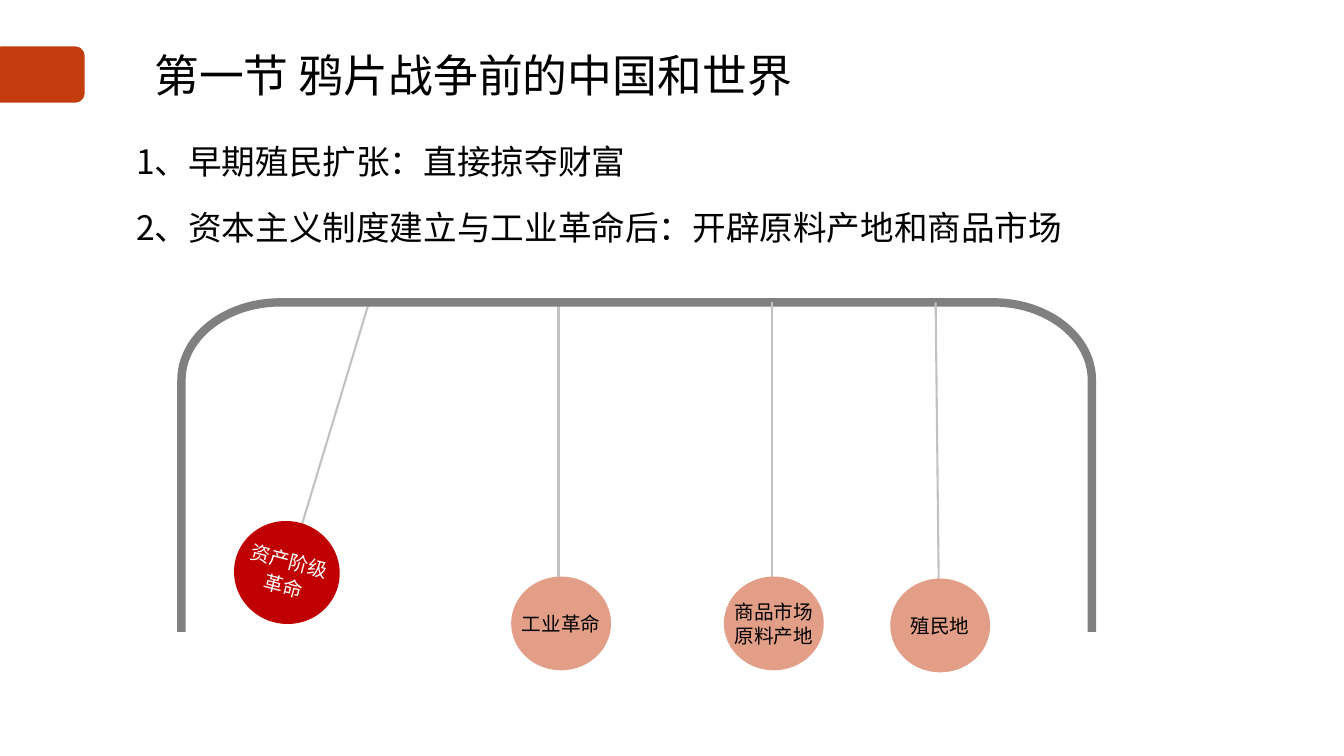
from math import cos, pi, sin

from lxml.etree import SubElement
from pptx import Presentation
from pptx.dml.color import RGBColor
from pptx.enum.shapes import MSO_CONNECTOR as Connector, MSO_SHAPE as Shape
from pptx.enum.text import MSO_ANCHOR as Anchor, MSO_AUTO_SIZE as AutoSize, PP_ALIGN as Align
from pptx.oxml.ns import qn
from pptx.util import Inches, Pt

FONT = "Noto Sans CJK SC"
BLACK = RGBColor(0x00, 0x00, 0x00)
WHITE = RGBColor(0xFF, 0xFF, 0xFF)
ORANGE = RGBColor(0xC2, 0x3C, 0x0D)
RED = RGBColor(0xC0, 0x00, 0x00)
SALMON = RGBColor(0xE2, 0x9E, 0x86)
ROPE_GRAY = RGBColor(0xC2, 0xC2, 0xC2)
FRAME_GRAY = RGBColor(0x80, 0x80, 0x80)


def write_text(shape, text, size=14, color=BLACK, align=Align.LEFT, spacing=1.0,
               anchor=Anchor.TOP, wrap=True, inset=0):
    frame = shape.text_frame
    frame.auto_size = AutoSize.NONE
    frame.word_wrap = wrap
    frame.vertical_anchor = anchor
    frame.margin_left = frame.margin_right = Inches(inset)
    frame.margin_top = frame.margin_bottom = Inches(inset / 2)
    for index, line in enumerate(text.split("\n")):
        para = frame.add_paragraph() if index else frame.paragraphs[0]
        para.alignment = align
        para.line_spacing = spacing
        span = para.add_run()
        span.text = line
        span.font.size = Pt(size)
        span.font.name = FONT
        span.font.color.rgb = color
        SubElement(span.font._element, qn("a:ea"), typeface=FONT)


def add_filled(page, kind, box, color):
    shape = page.shapes.add_shape(kind, *map(Inches, box))
    shape.shadow.inherit = False
    shape.fill.solid()
    shape.fill.fore_color.rgb = color
    shape.line.fill.background()
    return shape


def add_heading(page, box):
    left, top, width, height = box
    add_filled(page, Shape.ROUNDED_RECTANGLE, (-0.08, top - 0.02, 0.92, 0.56), ORANGE)
    title = page.shapes.title
    title.left, title.top, title.width, title.height = map(Inches, box)
    write_text(title, "第一节 鸦片战争前的中国和世界", size=32, align=Align.CENTER,
               spacing=0.9, anchor=Anchor.MIDDLE, inset=0.1)


def add_points(page, box, points):
    left, top, width, height = box
    pitch = height / len(points)
    for index, point in enumerate(points):
        place = (left, top + index * pitch, width, pitch)
        write_text(page.shapes.add_textbox(*map(Inches, place)), point, size=24, spacing=1.2)


def add_pendulum(page, rope, box, label, fill=SALMON, color=BLACK, tilt=0, spacing=1.0):
    line = page.shapes.add_connector(Connector.STRAIGHT, *map(Inches, rope))
    line.line.color.rgb = ROPE_GRAY
    line.line.width = Pt(1.5)
    SubElement(line._element.spPr, qn("a:effectLst"))
    ball = add_filled(page, Shape.OVAL, box, fill)
    ball.rotation = tilt
    write_text(ball, label, color=color, align=Align.CENTER, spacing=spacing,
               anchor=Anchor.MIDDLE, wrap=False)


def add_frame(page, box, radius_x=0.98, radius_y=0.77, steps=24):
    left, top, width, height = box
    right, bottom = left + width, top + height
    angles = [pi / 2 * step / steps for step in range(steps + 1)]
    left_arc = [(left + radius_x * (1 - cos(angle)), top + radius_y * (1 - sin(angle)))
                for angle in angles]
    right_arc = [(left + right - x, y) for x, y in reversed(left_arc)]
    outline = page.shapes.build_freeform(Inches(left), Inches(bottom))
    points = left_arc + right_arc + [(right, bottom)]
    outline.add_line_segments([(Inches(x), Inches(y)) for x, y in points], close=False)
    frame = outline.convert_to_shape()
    frame.shadow.inherit = False
    frame.fill.background()
    frame.line.color.rgb = FRAME_GRAY
    frame.line.width = Pt(6)


def add_cradle(page, box):
    left, top, width, height = box

    def hang(hook, end, drop, ball_left, ball_top, label, size=(0.99, 0.93), **style):
        rope = (left + hook, top, left + end, top + drop)
        add_pendulum(page, rope, (left + ball_left, top + ball_top, *size), label, **style)

    hang(1.86, 0.93, 3.08, 0.52, 2.17, "资产阶级\n革命", size=(1.05, 1.02),
         fill=RED, color=WHITE, tilt=14.5, spacing=1.1)
    hang(3.74, 3.74, 3.27, 3.27, 2.72, "工业革命")
    add_frame(page, box)
    hang(5.86, 5.86, 3.28, 5.38, 2.72, "商品市场\n原料产地")
    hang(7.48, 7.52, 3.65, 7.03, 2.74, "殖民地")


def main():
    deck = Presentation()
    deck.slide_width, deck.slide_height = Inches(13.33), Inches(7.5)
    page = deck.slides.add_slide(deck.slide_layouts[5])
    add_heading(page, (0.56, 0.48, 8.27, 0.59))
    add_cradle(page, (1.8, 3, 9.03, 3.27))
    add_points(page, (1.35, 1.32, 9.84, 1.3), [
        "1、早期殖民扩张：直接掠夺财富",
        "2、资本主义制度建立与工业革命后：开辟原料产地和商品市场",
    ])
    deck.save("out.pptx")


if __name__ == "__main__":
    main()
